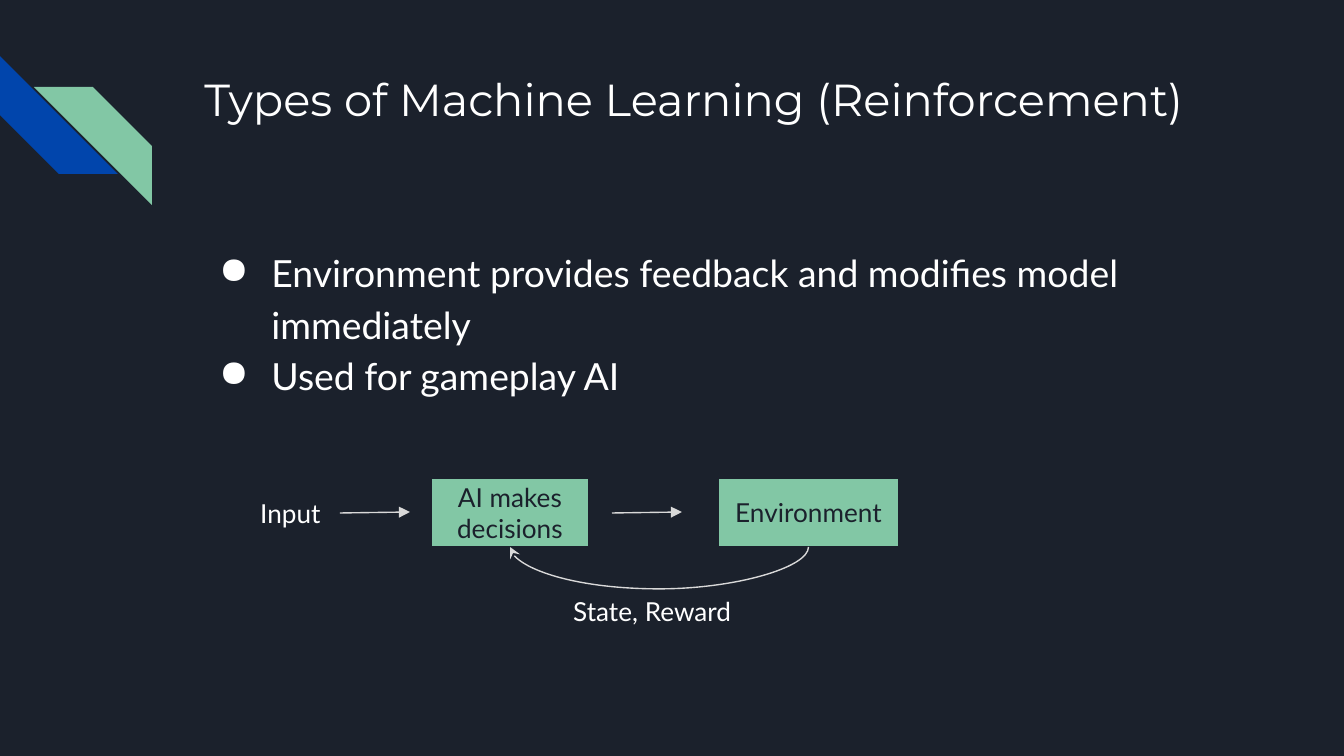
from lxml import etree
from pptx import Presentation
from pptx.dml.color import RGBColor
from pptx.enum.shapes import MSO_CONNECTOR, MSO_SHAPE
from pptx.enum.text import MSO_ANCHOR, MSO_AUTO_SIZE, PP_ALIGN
from pptx.oxml.ns import qn
from pptx.util import Emu, Pt

STRAIGHT, CURVE = MSO_CONNECTOR.STRAIGHT, MSO_CONNECTOR.CURVE
RECTANGLE, STRIPE = MSO_SHAPE.RECTANGLE, MSO_SHAPE.DIAGONAL_STRIPE
TOP, MIDDLE = MSO_ANCHOR.TOP, MSO_ANCHOR.MIDDLE
LEFT, CENTER = PP_ALIGN.LEFT, PP_ALIGN.CENTER
NO_AUTOSIZE = MSO_AUTO_SIZE.NONE
BOTTOM_SITE = 2

NAVY, BLUE, GREEN, WHITE, GREY = "1B212C", "0145AC", "82C7A5", "FFFFFF", "D9D9D9"
PX = 914400 / 134.4  # EMU in one px

# Content, with places in px: left, top, width, height
TITLE = ("Types of Machine Learning (Reinforcement)", (191, 58, 1035, 134))
BULLETS = (["Environment provides feedback and modifies model immediately",
            "Used for gameplay AI"], (191, 230, 1035, 427))
STEPS = [("AI makes decisions", (431, 478, 158, 69)),
         ("Environment", (718, 478, 181, 69))]
LABELS = [("Input", (247, 484, 91, 56)),
          ("State, Reward", (560, 582, 198, 35))]
ARROW_STARTS = [340, 612]
ARROW_LENGTH, ARROW_Y = 70, 513
LOOP_DEPTH = 35
STRIPES = [((0, 56, 118, 118), BLUE, {"rot": "16200000"}),
           ((34, 87, 118, 118), GREEN, {"flipH": "1"})]

TITLE_FONT = {"name": "Montserrat", "size": Pt(24), "bold": False}
BODY_FONT = {"name": "Lato", "size": Pt(20)}
LABEL_FONT = {"name": "Lato", "size": Pt(14)}


def px(*values):
    return [Emu(round(value * PX)) for value in values]


def color(value):
    return RGBColor.from_string(value)


def set_all(target, values):
    for name, value in values.items():
        setattr(target, name, value)


def write(box, lines, font, ink, align=LEFT, anchor=TOP):
    frame = box.text_frame
    margins = dict.fromkeys(
        ("margin_left", "margin_top", "margin_right", "margin_bottom"), Emu(91440))
    set_all(frame, {"word_wrap": True, "auto_size": NO_AUTOSIZE,
                    "vertical_anchor": anchor, **margins})
    for index, line in enumerate(lines):
        para = frame.add_paragraph() if index else frame.paragraphs[0]
        para.alignment = align
        span = para.add_run()
        span.text = line
        set_all(span.font, font)
        span.font.color.rgb = color(ink)
    return frame.paragraphs


def add_text(page, lines, place, font):
    return write(page.shapes.add_textbox(*px(*place)), lines, font, WHITE)


def add_filled(page, kind, place, fill):
    shape = page.shapes.add_shape(kind, *px(*place))
    shape.shadow.inherit = False
    shape.fill.solid()
    shape.fill.fore_color.rgb = color(fill)
    return shape


def add_arrow(page, kind, ends, head):
    arrow = page.shapes.add_connector(kind, *px(*ends))
    arrow.line.width = Pt(0.75)
    arrow.line.color.rgb = color(GREY)
    etree.SubElement(arrow.line._get_or_add_ln(), qn("a:tailEnd"), type=head)
    etree.SubElement(arrow._element.spPr, qn("a:effectLst"))
    return arrow


def add_bullet(para):
    para.line_spacing = 1.15
    properties = para._p.get_or_add_pPr()
    properties.set("marL", "457200")
    properties.set("indent", "-355600")
    tint = etree.SubElement(properties, qn("a:buClr"))
    etree.SubElement(tint, qn("a:srgbClr"), val=WHITE)
    etree.SubElement(properties, qn("a:buChar"), char="●")


def add_loop(page, source, target):
    """Curve from the bottom of source back to the bottom of target."""
    bottom = source.top + source.height
    begin = source.left + source.width // 2
    end = target.left + target.width // 2
    loop = add_arrow(page, CURVE, (0, 0, 1, 1), "stealth")
    loop.begin_connect(source, BOTTOM_SITE)
    loop.end_connect(target, BOTTOM_SITE)
    # A quarter turn makes the thin width the vertical extent of the curve
    span, thin = begin - end, 600
    frame = loop._element.spPr.find(qn("a:xfrm"))
    frame.attrib.clear()
    frame.set("rot", "5400000")
    set_all(loop, {"left": Emu((begin + end - thin) // 2),
                   "top": Emu(bottom - span // 2),
                   "width": Emu(thin), "height": Emu(span)})
    bend = round(LOOP_DEPTH * PX / thin * 100000)
    guides = loop._element.spPr.find(qn("a:prstGeom")).find(qn("a:avLst"))
    etree.SubElement(guides, qn("a:gd"), name="adj1", fmla=f"val {bend}")


def main():
    deck = Presentation()
    deck.slide_width, deck.slide_height = px(1344, 756)
    page = deck.slides.add_slide(deck.slide_layouts[5])
    page.background.fill.solid()
    page.background.fill.fore_color.rgb = color(NAVY)

    # Corner stripes
    for place, fill, turn in STRIPES:
        stripe = add_filled(page, STRIPE, place, fill)
        stripe.line.fill.background()
        for name, value in turn.items():
            stripe._element.spPr.find(qn("a:xfrm")).set(name, value)

    # Title and bullets
    text, place = TITLE
    title = page.shapes.title
    set_all(title, dict(zip(("left", "top", "width", "height"), px(*place))))
    write(title, [text], TITLE_FONT, WHITE)
    for para in add_text(page, *BULLETS, BODY_FONT):
        add_bullet(para)

    # Feedback diagram
    steps = []
    for text, place in STEPS:
        step = add_filled(page, RECTANGLE, place, GREEN)
        step.line.width = Pt(0.75)
        step.line.color.rgb = color(NAVY)
        write(step, [text], LABEL_FONT, NAVY, CENTER, MIDDLE)
        steps.append(step)
    for text, place in LABELS:
        add_text(page, [text], place, LABEL_FONT)
    for start in ARROW_STARTS:
        ends = (start, ARROW_Y, start + ARROW_LENGTH, ARROW_Y - 1)
        add_arrow(page, STRAIGHT, ends, "triangle")
    decision, environment = steps
    add_loop(page, environment, decision)

    deck.save("out.pptx")


if __name__ == "__main__":
    main()
